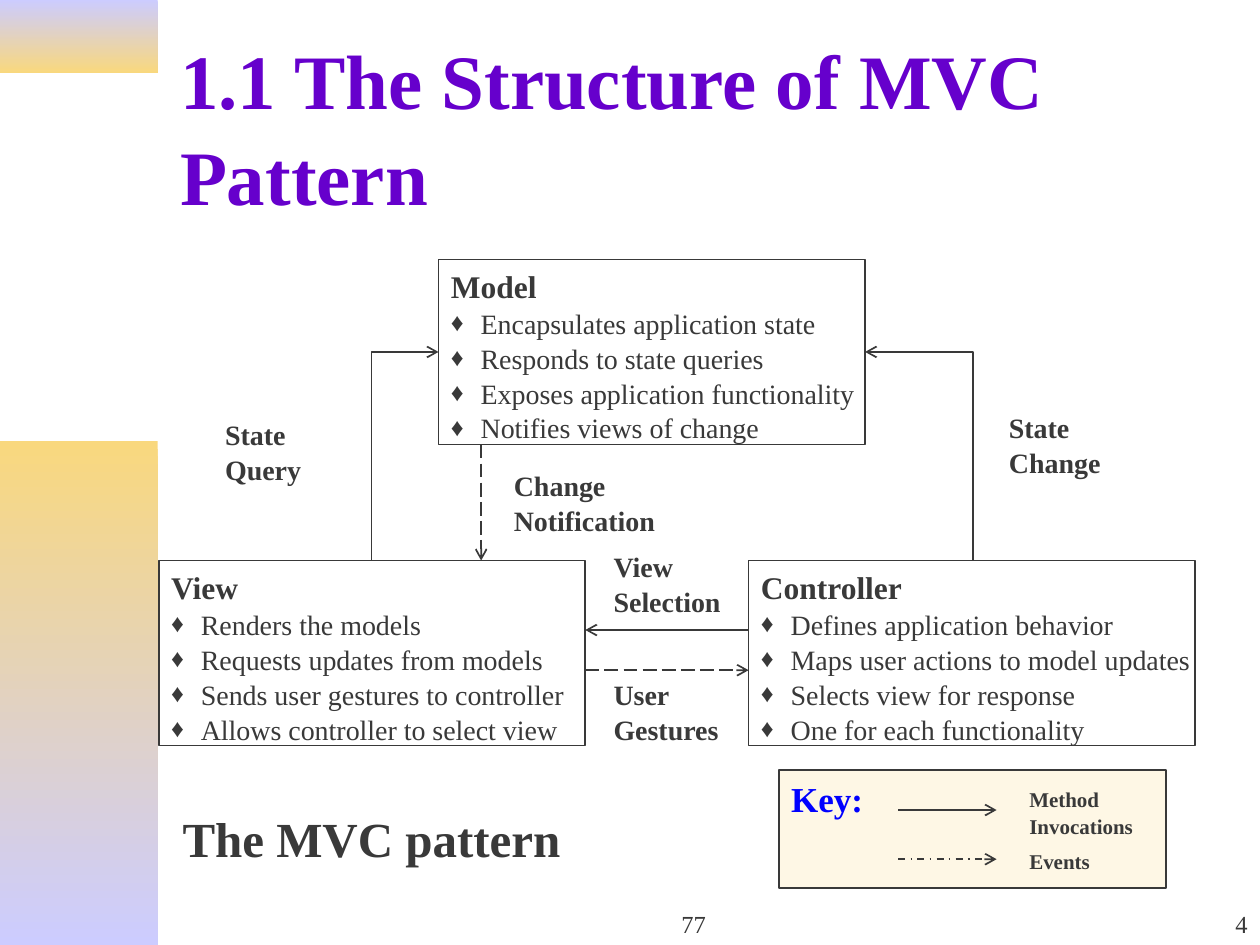
from dataclasses import dataclass

from lxml import etree
from pptx import Presentation
from pptx.dml.color import RGBColor
from pptx.enum.dml import MSO_LINE
from pptx.enum.shapes import MSO_CONNECTOR, MSO_SHAPE
from pptx.enum.text import MSO_ANCHOR, PP_ALIGN
from pptx.oxml.ns import qn
from pptx.util import Cm, Pt

RECTANGLE = MSO_SHAPE.RECTANGLE
STRAIGHT, ELBOW = MSO_CONNECTOR.STRAIGHT, MSO_CONNECTOR.ELBOW
LONG_DASH, DASH_DOT = MSO_LINE.LONG_DASH, MSO_LINE.DASH_DOT
TOP, MIDDLE, BOTTOM = MSO_ANCHOR.TOP, MSO_ANCHOR.MIDDLE, MSO_ANCHOR.BOTTOM
LEFT, CENTER, RIGHT = PP_ALIGN.LEFT, PP_ALIGN.CENTER, PP_ALIGN.RIGHT


@dataclass(frozen=True)
class Theme:
    font: str = "Times New Roman"
    ink: str = "393939"
    title: str = "6600CC"
    key: str = "0000FF"
    key_fill: str = "FEF7E5"
    paper: str = "FFFFFF"
    lilac: str = "CCCCFF"
    gold: str = "F9D87E"
    title_size: int = 44
    caption_size: int = 28
    key_size: int = 20
    heading_size: int = 18
    body_size: int = 16
    footer_size: int = 14
    legend_size: int = 12
    line_width: int = 1
    line_spacing: float = 1.04


THEME = Theme()

BOX_WIDTH, BOX_HEIGHT = 8.6, 3.73
MODEL_LEFT, MODEL_TOP = 8.84, 5.23
VIEW_LEFT, CONTROLLER_LEFT, LOWER_TOP = 3.2, 15.09, 11.3
VIEW_RIGHT = VIEW_LEFT + BOX_WIDTH
MODEL_RIGHT, MODEL_BOTTOM = MODEL_LEFT + BOX_WIDTH, MODEL_TOP + BOX_HEIGHT
MODEL_MIDDLE = MODEL_TOP + BOX_HEIGHT / 2

COMPONENTS = [
    ("View", VIEW_LEFT, LOWER_TOP, BOX_WIDTH,
     ["Renders the models", "Requests updates from models",
      "Sends user gestures to controller", "Allows controller to select view"]),
    ("Model", MODEL_LEFT, MODEL_TOP, BOX_WIDTH,
     ["Encapsulates application state", "Responds to state queries",
      "Exposes application functionality", "Notifies views of change"]),
    ("Controller", CONTROLLER_LEFT, LOWER_TOP, 9,
     ["Defines application behavior", "Maps user actions to model updates",
      "Selects view for response", "One for each functionality"]),
]

RELATION_LABELS = [
    ("State Query", 4.29, 8.26, 2.69),
    ("Change Notification", 10.11, 9.3, 3.61),
    ("State Change", 20.09, 8.13, 2.69),
    ("View Selection", 12.12, 10.92, 2.69),
    ("User Gestures", 12.12, 13.51, 2.69),
]


def rgb(value):
    return RGBColor.from_string(value)


def add_bullet(paragraph):
    properties = paragraph._p.get_or_add_pPr()
    indent = Cm(0.6)
    properties.set("marL", str(indent))
    properties.set("indent", str(-indent))
    color = etree.SubElement(properties, qn("a:buClr"))
    etree.SubElement(color, qn("a:srgbClr"), val=THEME.ink)
    etree.SubElement(properties, qn("a:buSzPct"), val="90000")
    etree.SubElement(properties, qn("a:buFont"), typeface=THEME.font)
    etree.SubElement(properties, qn("a:buChar"), char="♦")


def write(frame, text, size=THEME.body_size, color=THEME.ink, bold=False,
          align=LEFT, anchor=TOP, wrap=True, bullet=False):
    """Put text in the frame's empty first paragraph, or in a new one after it."""
    frame.word_wrap = wrap
    frame.vertical_anchor = anchor
    first = frame.paragraphs[0]
    paragraph = frame.add_paragraph() if first.runs else first
    paragraph.alignment = align
    paragraph.line_spacing = THEME.line_spacing
    if bullet:
        add_bullet(paragraph)
    run = paragraph.add_run()
    run.text = text
    run.font.name = THEME.font
    run.font.size = Pt(size)
    run.font.bold = bold
    run.font.color.rgb = rgb(color)


def add_label(slide, text, left, top, width, height, **text_format):
    box = slide.shapes.add_textbox(Cm(left), Cm(top), Cm(width), Cm(height))
    write(box.text_frame, text, **text_format)


def add_rectangle(slide, left, top, width, height):
    rectangle = slide.shapes.add_shape(
        RECTANGLE, Cm(left), Cm(top), Cm(width), Cm(height))
    rectangle.shadow.inherit = False
    return rectangle


def add_band(slide, top, height, colors):
    """Add a piece of the left margin, shaded from top to bottom."""
    band = add_rectangle(slide, 0, top, 3.18, height)
    band.line.fill.background()
    band.fill.gradient()
    band.fill.gradient_angle = 270
    for stop, color, position in zip(band.fill.gradient_stops, colors, (0, 1)):
        stop.color.rgb = rgb(color)
        stop.position = position


def add_panel(slide, left, top, width, height, fill):
    panel = add_rectangle(slide, left, top, width, height)
    panel.fill.solid()
    panel.fill.fore_color.rgb = rgb(fill)
    panel.line.color.rgb = rgb(THEME.ink)
    panel.line.width = Pt(THEME.line_width)
    return panel.text_frame


def add_component(slide, name, left, top, width, duties):
    frame = add_panel(slide, left, top, width, BOX_HEIGHT, THEME.paper)
    write(frame, name, size=THEME.heading_size, bold=True, wrap=False)
    for duty in duties:
        write(frame, duty, wrap=False, bullet=True)


def add_arrow(slide, start, end, dash=None, kind=STRAIGHT):
    arrow = slide.shapes.add_connector(kind, *map(Cm, (*start, *end)))
    arrow.line.color.rgb = rgb(THEME.ink)
    arrow.line.width = Pt(THEME.line_width)
    if dash:
        arrow.line.dash_style = dash
    etree.SubElement(arrow.line._get_or_add_ln(), qn("a:tailEnd"), type="arrow")
    etree.SubElement(arrow._element.spPr, qn("a:effectLst"))
    return arrow


def add_corner_arrow(slide, start, end):
    """Add an arrow that runs up and then sideways: a quarter-turned elbow."""
    (x1, y1), (x2, y2) = start, end
    middle_x, middle_y = (x1 + x2) / 2, (y1 + y2) / 2
    half_run, half_rise = (x2 - x1) / 2, (y1 - y2) / 2
    arrow = add_arrow(slide, (middle_x - half_rise, middle_y - half_run),
                      (middle_x + half_rise, middle_y + half_run), kind=ELBOW)
    properties = arrow._element.spPr
    properties.find(qn("a:xfrm")).set("rot", str(270 * 60000))
    properties.find(qn("a:prstGeom")).set("prst", "bentConnector2")


def add_relations(slide):
    add_corner_arrow(slide, (7.49, LOWER_TOP), (MODEL_LEFT, MODEL_MIDDLE))
    add_corner_arrow(slide, (19.61, LOWER_TOP), (MODEL_RIGHT, MODEL_MIDDLE))
    add_arrow(slide, (9.7, MODEL_BOTTOM), (9.7, LOWER_TOP), LONG_DASH)
    add_arrow(slide, (CONTROLLER_LEFT, 12.7), (VIEW_RIGHT, 12.7))
    add_arrow(slide, (VIEW_RIGHT, 13.51), (CONTROLLER_LEFT, 13.51), LONG_DASH)
    for text, left, top, width in RELATION_LABELS:
        add_label(slide, text, left, top, width, 1.63, bold=True)


def add_key(slide):
    frame = add_panel(slide, 15.7, 15.52, 7.8, 2.39, THEME.key_fill)
    write(frame, "Key:", size=THEME.key_size, color=THEME.key, bold=True, wrap=False)
    for text, line_y, dash, top, height in [
            ("Method Invocations", 16.33, None, 15.72, 1.27),
            ("Events", 17.32, DASH_DOT, 16.97, 0.76)]:
        add_arrow(slide, (18.11, line_y), (20.09, line_y), dash)
        add_label(slide, text, 20.5, top, 2.69, height,
                  size=THEME.legend_size, bold=True)


def main():
    deck = Presentation()
    deck.slide_width, deck.slide_height = Cm(25.4), Cm(19.05)
    slide = deck.slides.add_slide(deck.slide_layouts[6])

    add_band(slide, 0, 1.47, (THEME.lilac, THEME.gold))
    add_band(slide, 8.89, 10.16, (THEME.gold, THEME.lilac))
    add_label(slide, "1.1 The Structure of MVC Pattern", 3.38, 0.84, 21.59, 3.35,
              size=THEME.title_size, color=THEME.title, bold=True, anchor=MIDDLE)
    add_label(slide, "77", 9.96, 17.78, 8.05, 1.27,
              size=THEME.footer_size, align=CENTER, anchor=BOTTOM)
    add_label(slide, "4", 20.12, 17.78, 5.28, 1.27,
              size=THEME.footer_size, align=RIGHT, anchor=BOTTOM)
    add_label(slide, "The MVC pattern", 3.43, 16.13, 8.13, 1.45,
              size=THEME.caption_size, bold=True, wrap=False)
    for component in COMPONENTS:
        add_component(slide, *component)
    add_relations(slide)
    add_key(slide)

    deck.save("out.pptx")


if __name__ == "__main__":
    main()
